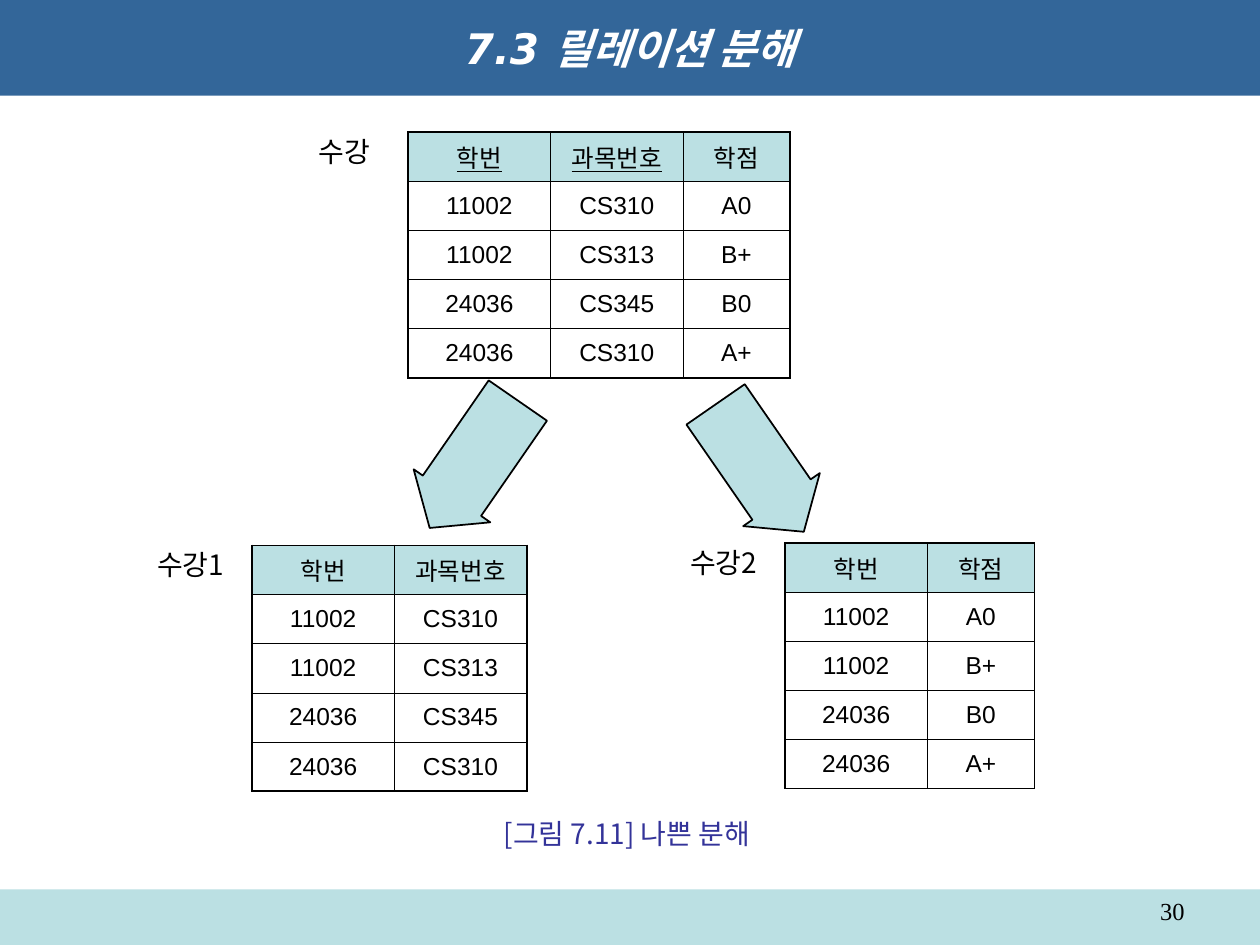
"""Build the slide on decomposing the enrolment relation."""
from lxml.etree import SubElement
from pptx import Presentation
from pptx.dml.color import RGBColor
from pptx.enum.shapes import MSO_SHAPE
from pptx.enum.text import MSO_ANCHOR, PP_ALIGN
from pptx.oxml.ns import qn
from pptx.util import Inches, Pt

BLUE, PALE, BLACK, WHITE, INDIGO = "336699", "BBE0E3", "000000", "FFFFFF", "333399"
TITLE = "7.3 릴레이션 분해"
CAPTION = "[그림 7.11] 나쁜 분해"
PAGE_NUMBER = "30"
ENROLMENT = [
    ("학번", "과목번호", "학점"),
    ("11002", "CS310", "A0"),
    ("11002", "CS313", "B+"),
    ("24036", "CS345", "B0"),
    ("24036", "CS310", "A+"),
]
COLUMN_WIDTHS = (1.13, 1.05, 0.85)
ROW_HEIGHT = 0.39
THIN, THICK = 0.45, 1.08
RELATIONS = [
    {"name": "수강", "at": (3.24, 1.05), "columns": (0, 1, 2), "keys": (0, 1), "label": (2.43, 0.63)},
    {"name": "수강1", "at": (2, 4.33), "columns": (0, 1), "keys": (), "label": (1.15, 0.81)},
    {"name": "수강2", "at": (6.23, 4.31), "columns": (0, 2), "keys": (), "label": (5.38, 0.81)},
]
ARROWS = [(3.39, 3.07, 34.7), (5.66, 3.1, -34.7)]


def rgb(color):
    return RGBColor.from_string(color)


def write(frame, text, size, font, color, align=PP_ALIGN.LEFT):
    frame.text = text
    paragraph = frame.paragraphs[0]
    paragraph.alignment = align
    paragraph.font.size = Pt(size)
    paragraph.font.color.rgb = rgb(color)
    paragraph.font.name = font
    if "CJK" in font:
        defaults = paragraph._p.get_or_add_pPr().get_or_add_defRPr()
        SubElement(defaults, qn("a:ea")).set("typeface", font)
    return paragraph


def add_text(slide, box, text, size, font, color, align=PP_ALIGN.LEFT, wrap=False):
    frame = slide.shapes.add_textbox(*map(Inches, box)).text_frame
    frame.word_wrap = wrap
    write(frame, text, size, font, color, align)
    return frame


def add_block(slide, preset, box, fill):
    block = slide.shapes.add_shape(preset, *map(Inches, box))
    block.shadow.inherit = False
    block.fill.solid()
    block.fill.fore_color.rgb = rgb(fill)
    block.line.fill.background()
    return block


def set_borders(cell, widths):
    properties = cell._tc.get_or_add_tcPr()
    for side, width in zip("LRTB", widths):
        line = SubElement(properties, qn(f"a:ln{side}"), w=str(Pt(width)))
        SubElement(SubElement(line, qn("a:solidFill")), qn("a:srgbClr"), val=BLACK)


def add_relation(slide, relation):
    left, top = relation["at"]
    columns = relation["columns"]
    widths = [COLUMN_WIDTHS[column] for column in columns]
    last_row, last_column = len(ENROLMENT) - 1, len(columns) - 1
    size = (sum(widths), ROW_HEIGHT * len(ENROLMENT))
    table = slide.shapes.add_table(
        len(ENROLMENT), len(columns), *map(Inches, (left, top, *size))
    ).table
    table.first_row = table.horz_banding = False
    for column, width in zip(table.columns, widths):
        column.width = Inches(width)
    for r, record in enumerate(ENROLMENT):
        table.rows[r].height = Inches(ROW_HEIGHT)
        for c, column in enumerate(columns):
            cell = table.cell(r, c)
            outer = (c == 0, c == last_column, r == 0, r == last_row)
            set_borders(cell, [THICK if edge else THIN for edge in outer])
            if r == 0:
                cell.fill.solid()
                cell.fill.fore_color.rgb = rgb(PALE)
            else:
                cell.fill.background()
            cell.vertical_anchor = MSO_ANCHOR.MIDDLE
            paragraph = write(cell.text_frame, record[column], 14, "Arial", BLACK, PP_ALIGN.CENTER)
            if r == 0 and column in relation["keys"]:
                paragraph.font.underline = True
    label_left, label_width = relation["label"]
    add_text(slide, (label_left, top - 0.03, label_width, 0.37), relation["name"],
             16, "Noto Sans CJK JP", BLACK)


def main():
    deck = Presentation()
    deck.slide_width, deck.slide_height = Inches(10), Inches(7.5)
    slide = deck.slides.add_slide(deck.slide_layouts[6])

    add_block(slide, MSO_SHAPE.RECTANGLE, (0, 7.06, 10, 0.44), PALE)
    banner = add_block(slide, MSO_SHAPE.RECTANGLE, (0, 0, 10, 0.76), BLUE)
    banner.text_frame.vertical_anchor = MSO_ANCHOR.MIDDLE
    heading = write(banner.text_frame, TITLE, 24, "DejaVu Sans", WHITE, PP_ALIGN.CENTER)
    heading.font.bold = heading.font.italic = True

    add_text(slide, (7.17, 7.06, 2.33, 0.29), PAGE_NUMBER, 14, "Times New Roman", BLACK,
             PP_ALIGN.RIGHT, wrap=True)
    caption = add_text(slide, (3.9, 6.43, 2.42, 0.37), CAPTION, 16, "Noto Sans CJK KR", INDIGO)
    caption.vertical_anchor = MSO_ANCHOR.MIDDLE

    for relation in RELATIONS:
        add_relation(slide, relation)

    for left, top, angle in ARROWS:
        arrow = add_block(slide, MSO_SHAPE.DOWN_ARROW, (left, top, 0.74, 1.23), PALE)
        arrow.adjustments[0], arrow.adjustments[1] = 0.76, 0.42
        arrow.rotation = angle
        arrow.line.color.rgb = rgb(BLACK)
        arrow.line.width = Pt(1)

    deck.save("out.pptx")


if __name__ == "__main__":
    main()
